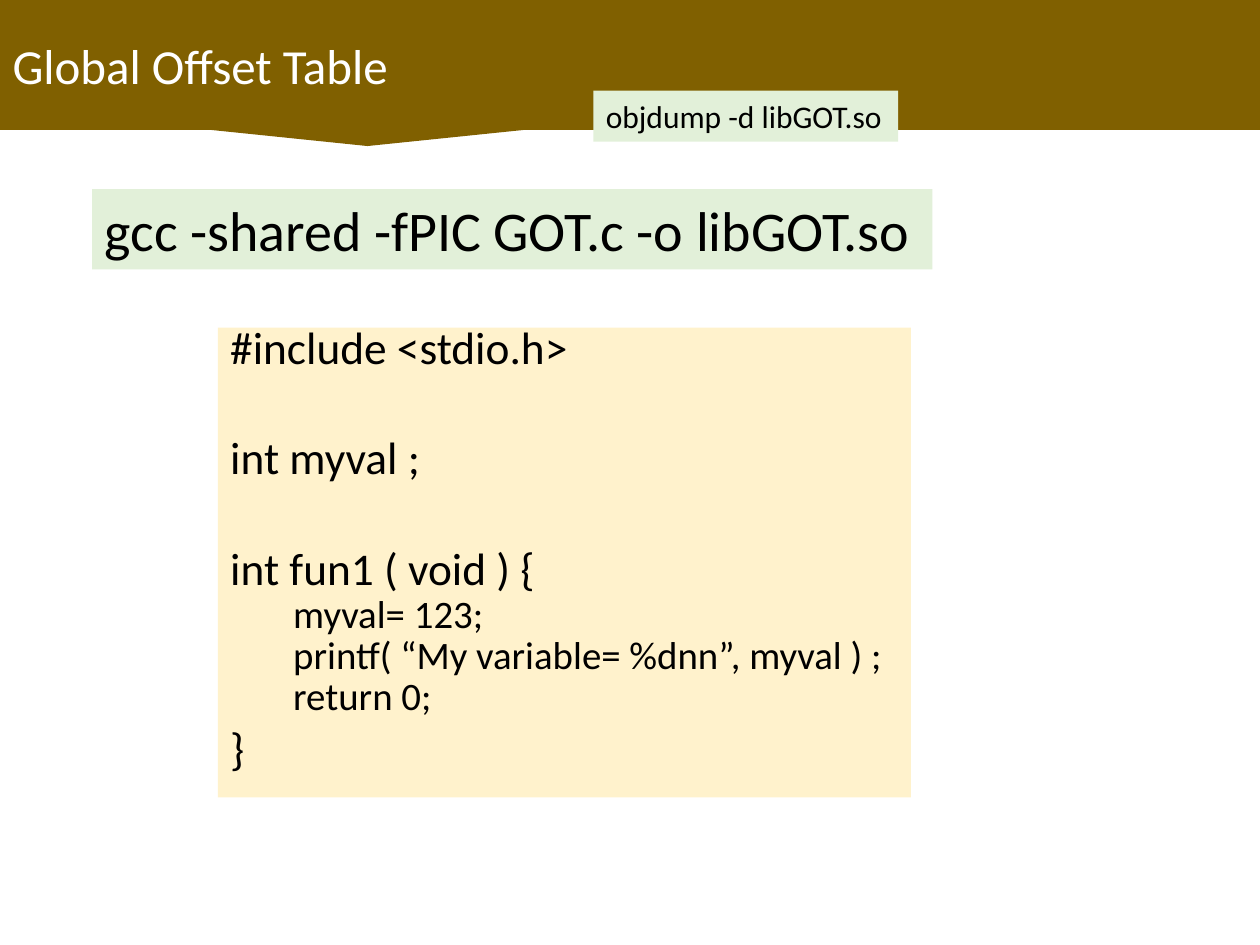
import pptx
import pptx.dml.color
import pptx.enum.shapes
import pptx.enum.text
import pptx.util
from dataclasses import dataclass

Pt = pptx.util.Pt
RGBColor = pptx.dml.color.RGBColor


@dataclass(frozen=True)
class Theme:
    font: str = "Calibri"
    band: RGBColor = RGBColor(0x80, 0x60, 0x00)
    command_fill: RGBColor = RGBColor(0xE2, 0xF0, 0xD9)
    code_fill: RGBColor = RGBColor(0xFF, 0xF2, 0xCC)
    title_text: RGBColor = RGBColor(0xFF, 0xFF, 0xFF)
    text: RGBColor = RGBColor(0x00, 0x00, 0x00)
    title_size: float = 28
    build_size: float = 32
    dump_size: float = 18
    code_size: float = 25.9
    body_size: float = 22.2


theme = Theme()


def add_run(paragraph, text, size, color):
    run = paragraph.add_run()
    run.text = text
    run.font.name = theme.font
    run.font.size = Pt(size)
    run.font.color.rgb = color


def add_filled_box(left, top, width, height, fill):
    box = slide.shapes.add_textbox(Pt(left), Pt(top), Pt(width), Pt(height))
    box.fill.solid()
    box.fill.fore_color.rgb = fill
    return box


presentation = pptx.Presentation()
presentation.slide_width = Pt(720)
presentation.slide_height = Pt(540)
slide = presentation.slides.add_slide(presentation.slide_layouts[5])

# Code listing: text, indent, space before
code_lines = [
    ("#include <stdio.h>", 0, 0),
    ("int myval ;", 0, 41.5),
    ("int fun1 ( void ) {", 0, 41.5),
    ("myval= 123;", 36, 5),
    ("printf( “My variable= %dnn”, myval ) ;", 36, 5),
    ("return 0;", 36, 5),
    ("}", 0, 10),
]
code_box = add_filled_box(124.5, 187.2, 396, 268.5, theme.code_fill)
code_frame = code_box.text_frame
code_frame.word_wrap = True
for index, (text, indent, space_before) in enumerate(code_lines):
    paragraph = code_frame.add_paragraph() if index else code_frame.paragraphs[0]
    paragraph.line_spacing = 0.7
    paragraph.space_before = Pt(space_before)
    if indent:
        paragraph.level = 1
        paragraph._p.get_or_add_pPr().set("marL", str(Pt(indent)))
    add_run(paragraph, text, theme.body_size if indent else theme.code_size, theme.text)

# Title band, with the title in front of it
band = slide.shapes.add_shape(
    pptx.enum.shapes.MSO_SHAPE.RECTANGULAR_CALLOUT, 0, 0, Pt(720), Pt(74.2))
band.shadow.inherit = False
band.fill.solid()
band.fill.fore_color.rgb = theme.band
band.line.fill.background()

title = slide.shapes.title
title.left, title.top, title.width, title.height = 0, 0, Pt(720), Pt(74.2)
slide.shapes._spTree.append(title._element)
title.text_frame.vertical_anchor = pptx.enum.text.MSO_ANCHOR.MIDDLE
title_paragraph = title.text_frame.paragraphs[0]
title_paragraph.alignment = pptx.enum.text.PP_ALIGN.LEFT
add_run(title_paragraph, "Global Offset Table", theme.title_size, theme.title_text)

# Shell commands
commands = [
    ("gcc -shared -fPIC GOT.c -o libGOT.so", theme.build_size, 52.6, 108, 480.2, 46),
    ("objdump -d libGOT.so", theme.dump_size, 339.1, 51.8, 174.2, 29.1),
]
for text, size, left, top, width, height in commands:
    command_box = add_filled_box(left, top, width, height, theme.command_fill)
    command_box.text_frame.word_wrap = False
    command_box.text_frame.auto_size = pptx.enum.text.MSO_AUTO_SIZE.SHAPE_TO_FIT_TEXT
    add_run(command_box.text_frame.paragraphs[0], text, size, theme.text)

presentation.save("out.pptx")
